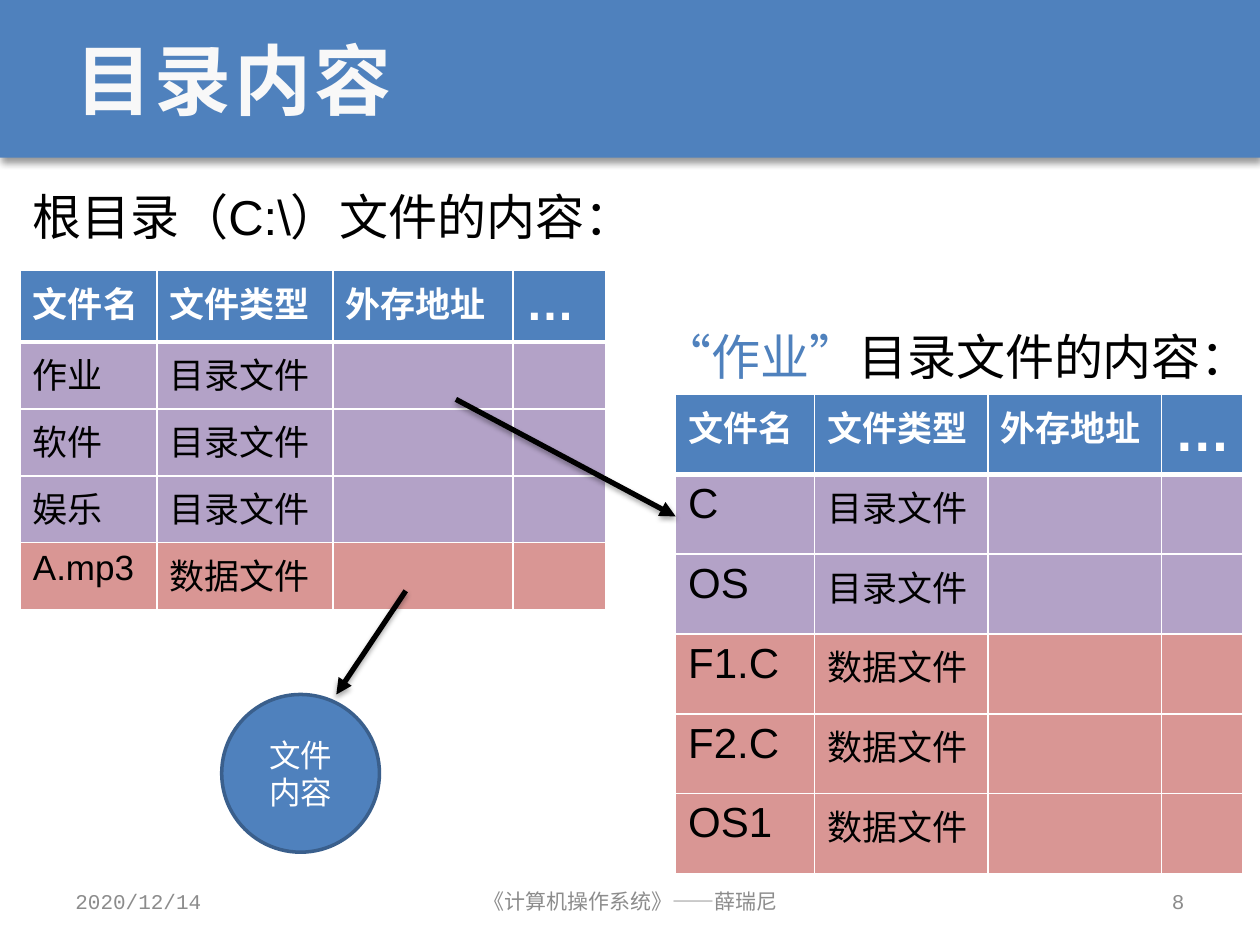
from pptx import Presentation
from pptx.dml.color import RGBColor
from pptx.enum.shapes import MSO_CONNECTOR, MSO_SHAPE
from pptx.enum.text import MSO_ANCHOR, PP_ALIGN
from pptx.oxml import parse_xml
from pptx.oxml.ns import nsdecls
from pptx.util import Cm, Pt

STRAIGHT = MSO_CONNECTOR.STRAIGHT
RECTANGLE, OVAL = MSO_SHAPE.RECTANGLE, MSO_SHAPE.OVAL
TOP, MIDDLE = MSO_ANCHOR.TOP, MSO_ANCHOR.MIDDLE
LEFT, CENTER, RIGHT = PP_ALIGN.LEFT, PP_ALIGN.CENTER, PP_ALIGN.RIGHT

BLUE = RGBColor(0x4F, 0x81, 0xBD)
DARK_BLUE = RGBColor(0x3A, 0x5F, 0x8C)
PURPLE = RGBColor(0xB3, 0xA2, 0xC7)
PINK = RGBColor(0xD9, 0x96, 0x94)
WHITE = RGBColor(0xFF, 0xFF, 0xFF)
OFF_WHITE = RGBColor(0xF8, 0xF8, 0xF8)
GRAY = RGBColor(0x8C, 0x8C, 0x8C)
BLACK = RGBColor(0, 0, 0)

SANS, MONO, CJK = "Arial", "Courier New", "Noto Sans CJK SC"
HEADERS = ["文件名", "文件类型", "外存地址", "…"]
FOLDER, DATA = "目录文件", "数据文件"
ROW_FILLS = {FOLDER: PURPLE, DATA: PINK}
ROOT_FILES = [("作业", FOLDER), ("软件", FOLDER), ("娱乐", FOLDER), ("A.mp3", DATA)]
HOMEWORK_FILES = [("C", FOLDER), ("OS", FOLDER), ("F1.C", DATA), ("F2.C", DATA), ("OS1", DATA)]


def style_span(span, size, color, font=SANS, bold=False):
    """Format one run of Chinese or Latin text."""
    span.font.name, span.font.size, span.font.bold = font, Pt(size), bold
    span.font.color.rgb = color
    properties = span.font._element
    properties.set("lang", "zh-CN")
    properties.find("{*}latin").addnext(
        parse_xml(f'<a:ea {nsdecls("a")} typeface="{CJK}"/>'))


def add_text(page, area, spans, size, font=SANS, bold=False, align=LEFT, anchor=MIDDLE):
    """Add a text box whose spans are (text, color) pairs and return its paragraph."""
    box = page.shapes.add_textbox(*map(Cm, area))
    frame = box.text_frame
    frame.word_wrap, frame.vertical_anchor = True, anchor
    para = frame.paragraphs[0]
    para.alignment = align
    for text, color in spans:
        span = para.add_run()
        span.text = text
        style_span(span, size, color, font, bold)
    return para


def add_heading(page, area, spans, font=SANS):
    """Add the heading above a table."""
    para = add_text(page, area, spans, 28, font, anchor=TOP)
    para._parent.margin_right = 0


def add_shadow(shape, opacity, blur, distance):
    """Give a shape a soft black shadow straight below it."""
    shape._element.spPr.append(parse_xml(
        f'<a:effectLst {nsdecls("a")}><a:outerShdw blurRad="{Pt(blur)}" '
        f'dist="{Pt(distance)}" dir="5400000" rotWithShape="0"><a:srgbClr val="000000">'
        f'<a:alpha val="{opacity * 1000}"/></a:srgbClr></a:outerShdw></a:effectLst>'))


def add_arrow(page, start, end):
    """Add a thick black arrow between two points."""
    arrow = page.shapes.add_connector(STRAIGHT, *map(Cm, start + end))
    arrow.line.color.rgb, arrow.line.width = BLACK, Pt(3)
    arrow.line._get_or_add_ln().append(
        parse_xml(f'<a:tailEnd {nsdecls("a")} type="triangle"/>'))
    add_shadow(arrow, 35, 3.1, 1.8)


def style_cell(cell, fill, top, bottom):
    """Fill a cell and draw its white borders."""
    properties = cell._tc.get_or_add_tcPr()
    for side, width in (("L", 1), ("R", 1), ("T", top), ("B", bottom)):
        properties.append(parse_xml(
            f'<a:ln{side} {nsdecls("a")} w="{Pt(width)}"><a:solidFill>'
            f'<a:srgbClr val="{WHITE}"/></a:solidFill></a:ln{side}>'))
    cell.fill.solid()
    cell.fill.fore_color.rgb = fill


def add_directory(page, corner, widths, heights, files, name_size, dots_size):
    """Add a directory table with a header row and one row per file."""
    rows = [HEADERS] + [[name, kind, "", ""] for name, kind in files]
    table = page.shapes.add_table(
        len(rows), len(widths), *map(Cm, corner), Cm(sum(widths)), Cm(sum(heights))).table
    for column, width in zip(table.columns, widths):
        column.width = Cm(width)
    for r, (texts, height) in enumerate(zip(rows, heights)):
        table.rows[r].height = Cm(height)
        header = r == 0
        sizes = (20, 20, 20, dots_size) if header else (name_size, 20, 20, 20)
        fill = BLUE if header else ROW_FILLS[texts[1]]
        for c, (text, size) in enumerate(zip(texts, sizes)):
            cell = table.cell(r, c)
            style_cell(cell, fill, 3 if r == 1 else 1, 3 if header else 1)
            if text:
                cell.text_frame.text = text
                span = cell.text_frame.paragraphs[0].runs[0]
                style_span(span, size, WHITE if header else BLACK, bold=header)


def add_title_bar(page):
    """Add the blue bar and the slide title."""
    bar = page.shapes.add_shape(RECTANGLE, 0, 0, Cm(25.4), Cm(3.18))
    bar.fill.solid()
    bar.fill.fore_color.rgb = BLUE
    bar.line.fill.background()
    add_shadow(bar, 40, 4, 3)
    title = add_text(page, (1.27, 0, 22.86, 3.18), [("目录内容", OFF_WHITE)], 44, MONO, True)
    title.runs[0].font._element.set("spc", "150")


def add_file_circle(page):
    """Add the circle that stands for the content of a file."""
    circle = page.shapes.add_shape(OVAL, Cm(4.47), Cm(14), Cm(3.18), Cm(3.18))
    circle.shadow.inherit = False
    circle.fill.solid()
    circle.fill.fore_color.rgb = BLUE
    circle.line.color.rgb, circle.line.width = DARK_BLUE, Pt(2)
    frame = circle.text_frame
    frame.text = "文件内容"
    frame.word_wrap, frame.vertical_anchor = True, MIDDLE
    frame.paragraphs[0].alignment = CENTER
    style_span(frame.paragraphs[0].runs[0], 18, WHITE)


def add_footer(page):
    """Add the date, the course name and the page number."""
    for left, width, text, align in ((1.27, 5.92, "2020/12/14", LEFT),
                                     (8.69, 8.05, "《计算机操作系统》——薛瑞尼", CENTER),
                                     (18.21, 5.92, "8", RIGHT)):
        add_text(page, (left, 17.65, width, 1.02), [(text, GRAY)], 12, MONO, align=align)


def main():
    """Build the slide and save it."""
    deck = Presentation()
    deck.slide_width, deck.slide_height = Cm(25.4), Cm(19.05)
    page = deck.slides.add_slide(deck.slide_layouts[6])
    add_title_bar(page)
    add_heading(page, (0.41, 3.63, 13, 1.45), [("根目录（C:\\）文件的内容：", BLACK)])
    add_directory(page, (0.41, 5.45), (2.75, 3.55, 3.63, 1.87), [1.35] * 5,
                  ROOT_FILES, 20, 28)
    add_heading(page, (13.11, 6.45, 12.29, 1.45),
                [("“作业”", BLUE), ("目录文件的内容：", BLACK)], CJK)
    add_directory(page, (13.62, 7.95), (2.8, 3.5, 3.5, 1.63), [1.58] + [1.61] * 5,
                  HOMEWORK_FILES, 24, 32)
    add_arrow(page, (9.19, 8.05), (13.62, 10.41))
    add_arrow(page, (8.18, 11.91), (6.78, 14))
    add_file_circle(page)
    add_footer(page)
    deck.save("out.pptx")


if __name__ == "__main__":
    main()
